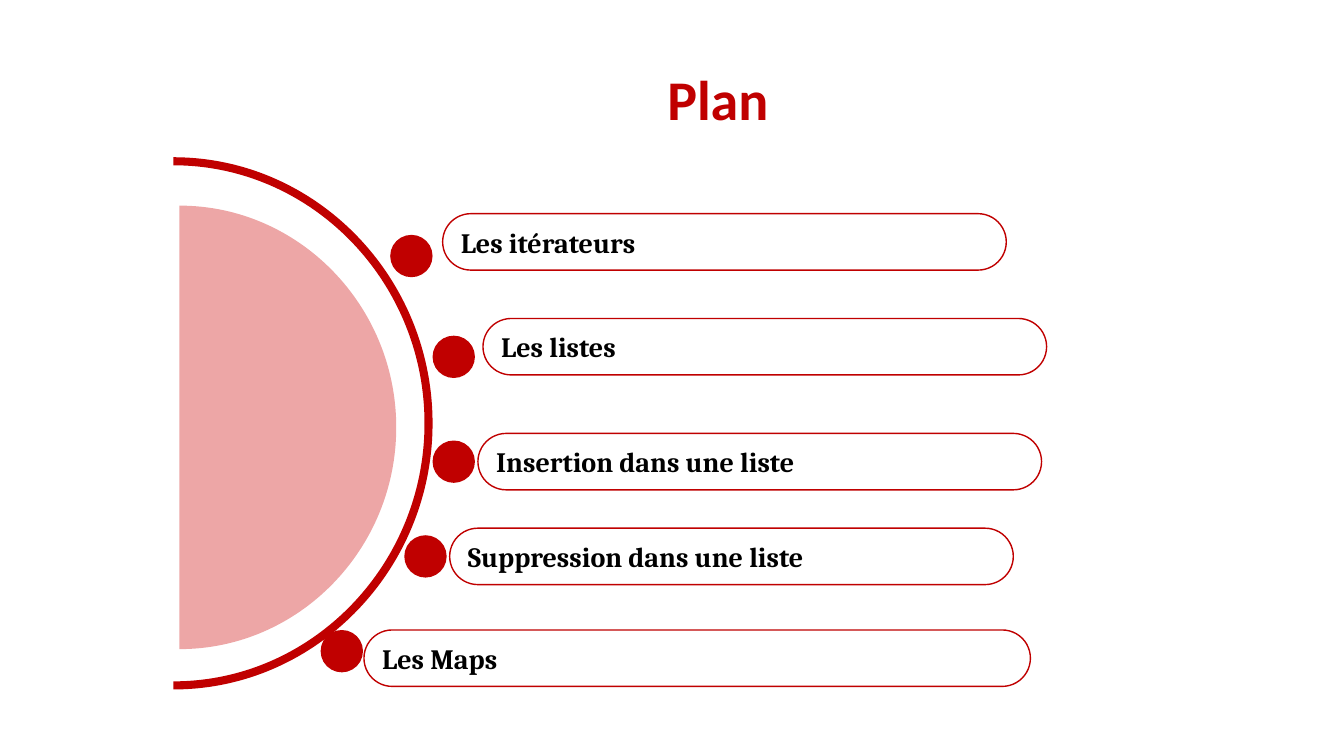
from lxml.etree import SubElement
from pptx import Presentation
from pptx.dml.color import RGBColor
from pptx.enum.shapes import MSO_SHAPE as Shape
from pptx.enum.text import MSO_ANCHOR as Anchor, PP_ALIGN as Align
from pptx.oxml.ns import qn
from pptx.util import Inches, Pt

TITLE = "Plan"
PILL_WIDTH, PILL_HEIGHT, DOT_SIZE = 5.59, 0.56, 0.42
TOPICS = [
    ("Les itérateurs", (4.39, 2.12), PILL_WIDTH, (3.87, 2.33)),
    ("Les listes", (4.79, 3.16), PILL_WIDTH, (4.29, 3.33)),
    ("Insertion dans une liste", (4.74, 4.3), PILL_WIDTH, (4.29, 4.37)),
    ("Suppression dans une liste", (4.46, 5.24), PILL_WIDTH, (4.01, 5.31)),
    ("Les Maps", (3.61, 6.25), 6.61, (3.18, 6.25)),
]
RING_CENTER, RING_OUTER, RING_INNER = (1.68, 4.16), (2.64, 2.57), (2.56, 2.49)
RING_HEIGHT, RING_CURVES = 5.22, (0, 3, 7, 10)
DISC_CENTER, DISC_RADII = (1.78, 4.24), (2.2, 2.15)
DISC_HEIGHT, DISC_CURVES, DISC_OPACITY = 4.3, (0, 3), 35
BEND = 0.55

RED = RGBColor(0xC0, 0x00, 0x00)
DISC_RED = RGBColor(0xCC, 0x00, 0x00)
WHITE = RGBColor(0xFF, 0xFF, 0xFF)
BLACK = RGBColor(0x00, 0x00, 0x00)


def dome(center, radii):
    steps = [(-1, 0), (-1, -BEND), (-BEND, -1), (0, -1), (BEND, -1), (1, -BEND), (1, 0)]
    return [(Inches(center[0] + radii[0] * across), Inches(center[1] + radii[1] * down))
            for across, down in steps]


def paint(shape, fill, line=None):
    shape.shadow.inherit = False
    shape.fill.solid()
    shape.fill.fore_color.rgb = fill
    if line is None:
        shape.line.fill.background()
    else:
        shape.line.color.rgb = line
        shape.line.width = Pt(1)


def add_dome(slide, points, curve_starts, frame_height, fill):
    builder = slide.shapes.build_freeform(*points[0], scale=1.0)
    builder.add_line_segments(points[1:], close=True)
    shape = builder.convert_to_shape()
    outline = next(shape._element.iter(qn("a:path")))
    lines = outline.findall(qn("a:lnTo"))
    for start in curve_starts:
        first, *others = lines[start:start + 3]
        first.tag = qn("a:cubicBezTo")
        for line in others:
            first.append(line[0])
            outline.remove(line)
    outline.set("h", str(Inches(frame_height)))
    shape.height = Inches(frame_height)
    shape.rotation = 90
    paint(shape, fill)
    return shape


def write(shape, text, font_name, size, color, align, anchor):
    frame = shape.text_frame
    frame.text = text
    frame.word_wrap = True
    frame.vertical_anchor = anchor
    paragraph = frame.paragraphs[0]
    paragraph.alignment = align
    font = paragraph.runs[0].font
    font.name, font.size, font.bold = font_name, Pt(size), True
    font.color.rgb = color


def add_topic(slide, text, pill_at, pill_width, dot_at):
    pill = slide.shapes.add_shape(
        Shape.ROUNDED_RECTANGLE, *map(Inches, (*pill_at, pill_width, PILL_HEIGHT)))
    pill.adjustments[0] = 0.5
    paint(pill, WHITE, RED)
    write(pill, text, "Cambria", 20, BLACK, Align.LEFT, Anchor.MIDDLE)
    dot = slide.shapes.add_shape(
        Shape.OVAL, *map(Inches, (*dot_at, DOT_SIZE, DOT_SIZE)))
    paint(dot, RED)


def main():
    """Build the course outline slide."""
    presentation = Presentation()
    presentation.slide_width, presentation.slide_height = Inches(13.33), Inches(7.5)
    slide = presentation.slides.add_slide(presentation.slide_layouts[6])

    title = slide.shapes.add_textbox(*map(Inches, (3.62, 0.16, 7, 1.25)))
    write(title, TITLE, "Calibri", 40, RED, Align.CENTER, Anchor.BOTTOM)
    title.text_frame.margin_bottom = Inches(0.1)

    ring = dome(RING_CENTER, RING_OUTER) + dome(RING_CENTER, RING_INNER)[::-1]
    add_dome(slide, ring, RING_CURVES, RING_HEIGHT, RED)
    disc = add_dome(slide, dome(DISC_CENTER, DISC_RADII), DISC_CURVES, DISC_HEIGHT, DISC_RED)
    color = next(disc._element.spPr.iter(qn("a:srgbClr")))
    SubElement(color, qn("a:alpha")).set("val", str(DISC_OPACITY * 1000))

    for topic in TOPICS:
        add_topic(slide, *topic)
    presentation.save("out.pptx")


if __name__ == "__main__":
    main()
